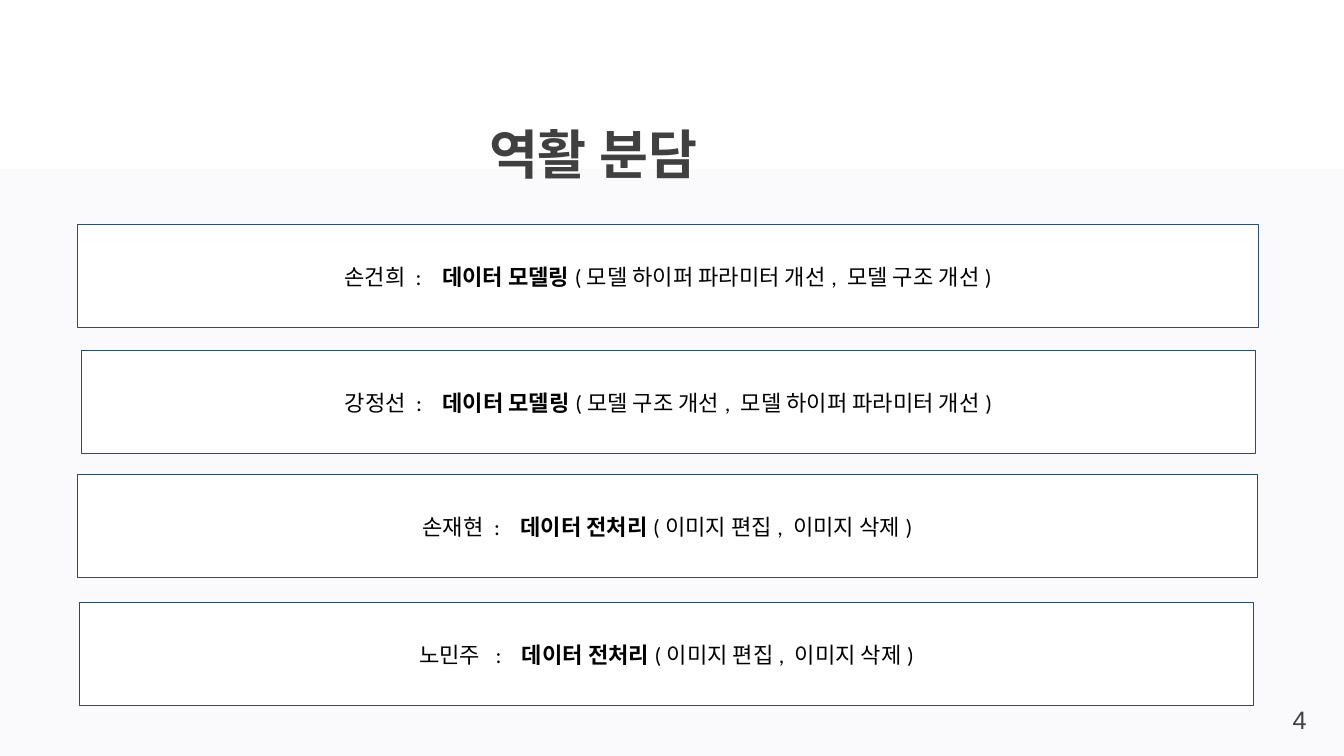
from dataclasses import dataclass

from lxml.etree import SubElement
from pptx import Presentation
from pptx.dml.color import RGBColor
from pptx.enum.shapes import MSO_SHAPE as Shape
from pptx.enum.text import MSO_ANCHOR as Anchor, MSO_AUTO_SIZE as Fit, PP_ALIGN as Align
from pptx.oxml.ns import qn
from pptx.util import Inches, Pt

WHITE = RGBColor(0xFF, 0xFF, 0xFF)
BLACK = RGBColor(0, 0, 0)
BAND = RGBColor(0xFA, 0xFA, 0xFD)
NAVY = RGBColor(0x2D, 0x4D, 0x6A)
BLUE = RGBColor(0x2B, 0x4A, 0x66)
GRAY = RGBColor(0x40, 0x40, 0x40)
KOREAN = "Noto Sans CJK KR"


@dataclass
class Member:
    name: str
    role: str
    tasks: str
    left: float
    top: float
    width: float
    edge: RGBColor = BLUE
    gap: float = 0  # extra points before the colon


MODEL, PREP = "데이터 모델링", "데이터 전처리"
EDIT = "(이미지 편집, 이미지 삭제)"
TEAM = [
    Member("손건희", MODEL, "(모델 하이퍼 파라미터 개선, 모델 구조 개선)", 0.77, 2.23, 11.71, NAVY),
    Member("강정선", MODEL, "(모델 구조 개선, 모델 하이퍼 파라미터 개선)", 0.81, 3.48, 11.64),
    Member("손재현", PREP, EDIT, 0.77, 4.71, 11.7),
    Member("노민주", PREP, EDIT, 0.79, 5.98, 11.64, gap=3.6),
]


def add_box(slide, left: float, top: float, width: float, height: float, fill: RGBColor):
    box = slide.shapes.add_shape(
        Shape.RECTANGLE, Inches(left), Inches(top), Inches(width), Inches(height))
    box.shadow.inherit = False
    box.fill.solid()
    box.fill.fore_color.rgb = fill
    box.line.fill.background()
    return box


def set_font(run, size: float, name: str, color: RGBColor, bold: bool = False) -> None:
    font = run.font
    font.size, font.name, font.bold = Pt(size), name, bold
    font.color.rgb = color


def set_track(run, points: float) -> None:
    run.font._element.set("spc", str(round(points * 100)))


def set_frame(frame) -> None:
    frame.word_wrap = True
    frame.auto_size = Fit.NONE
    frame.vertical_anchor = Anchor.BOTTOM
    frame.margin_left = frame.margin_right = Inches(0.12)
    frame.margin_top = frame.margin_bottom = Inches(0.06)
    frame.paragraphs[0].line_spacing = 0.9


def add_member(slide, who: Member) -> None:
    box = add_box(slide, who.left, who.top, who.width, 1.02, WHITE)
    box.line.color.rgb = who.edge
    box.line.width = Pt(1)
    box.text_frame.vertical_anchor = Anchor.MIDDLE
    para = box.text_frame.paragraphs[0]
    para.alignment = Align.CENTER
    parts = [(who.name, 0), (" ", who.gap), (":", 0), (" ", 7.2),
             (who.role, 0), (who.tasks, 0)]
    for text, track in parts:
        run = para.add_run()
        run.text = text
        set_font(run, 15.8, "Calibri", BLACK, text == who.role)
        if track:
            set_track(run, track)


def main() -> None:
    deck = Presentation()
    deck.slide_width, deck.slide_height = Inches(13.33), Inches(7.5)
    slide = deck.slides.add_slide(deck.slide_layouts[5])

    # Title over the pale band
    title = slide.shapes.title
    band = add_box(slide, 0, 1.68, 13.33, 5.82, BAND)
    title.element.addprevious(band.element)
    title.left, title.top = Inches(2.31), Inches(0.93)
    title.width, title.height = Inches(8.72), Inches(0.98)
    title.text_frame.text = "역활 분담"
    set_frame(title.text_frame)
    para = title.text_frame.paragraphs[0]
    para.alignment = Align.LEFT
    para._p.get_or_add_pPr().set("marL", str(Inches(2.42)))
    run = para.runs[0]
    set_font(run, 38, KOREAN, GRAY, True)
    SubElement(run.font._element, qn("a:ea")).set("typeface", KOREAN)

    # Team roles
    for who in TEAM:
        add_member(slide, who)

    # Page number
    page = slide.shapes.add_textbox(Inches(11.33), Inches(6.17), Inches(1.75), Inches(1.18))
    page.text_frame.text = "4"
    set_frame(page.text_frame)
    para = page.text_frame.paragraphs[0]
    para.alignment = Align.RIGHT
    set_font(para.runs[0], 18, "Arial", GRAY)
    set_track(para.runs[0], -1.9)

    deck.save("out.pptx")


if __name__ == "__main__":
    main()
